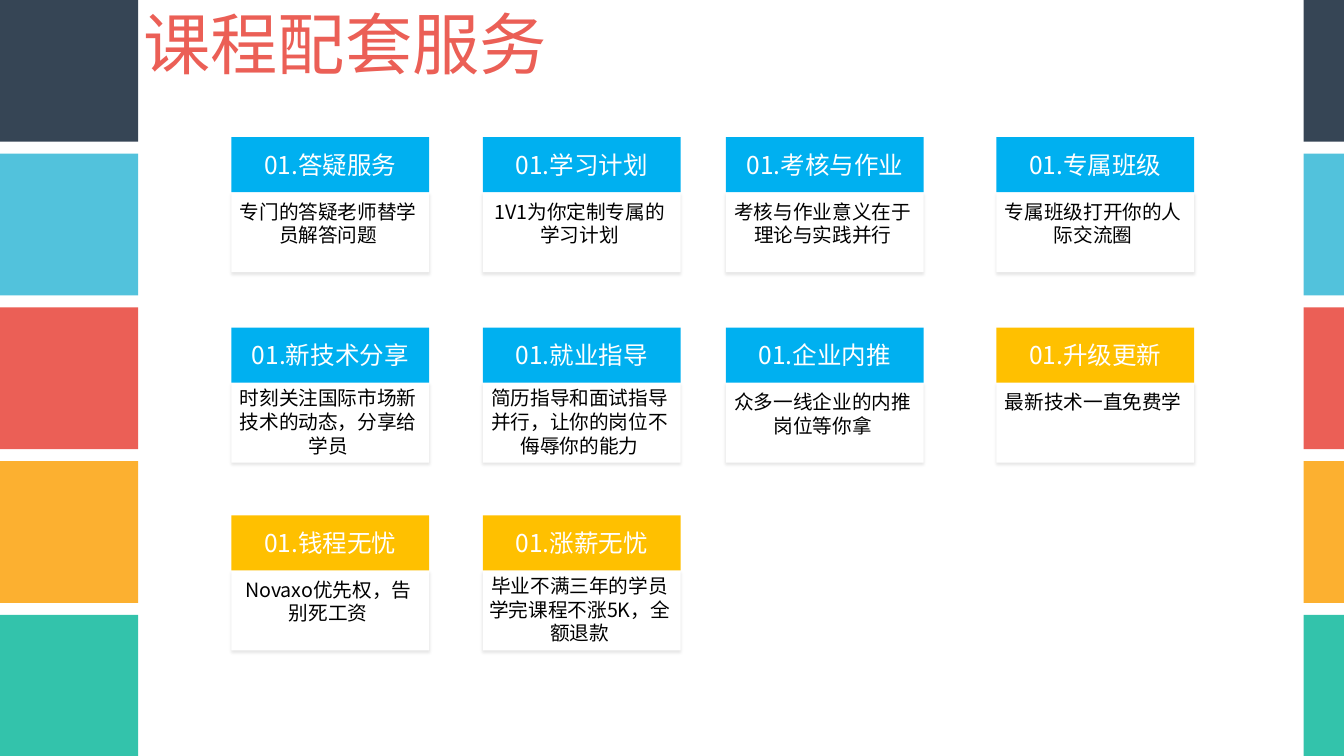
"""Build the course services slide: side colour bands, a title and ten service cards."""
from math import ceil

from lxml import etree
from pptx import Presentation
from pptx.dml.color import RGBColor
from pptx.enum import lang, shapes, text
from pptx.oxml import ns
from pptx.util import Cm, Pt

WHITE = RGBColor(0xFF, 0xFF, 0xFF)
BLACK = RGBColor(0, 0, 0)
NAVY = RGBColor(0x36, 0x45, 0x55)
SKY = RGBColor(0x52, 0xC2, 0xDC)
RED = RGBColor(0xEB, 0x5F, 0x56)
ORANGE = RGBColor(0xFC, 0xB0, 0x30)
GREEN = RGBColor(0x33, 0xC3, 0xAB)
BLUE = RGBColor(0x00, 0xB0, 0xF0)
GOLD = RGBColor(0xFF, 0xC0, 0x00)

BANDS = [NAVY, SKY, RED, ORANGE, GREEN]
BAND_PITCH, BAND_H = 7.32, 6.75
COLUMNS = [11.02, 22.99, 34.57, 47.45]
ROWS = [6.53, 15.6, 24.54]
CARD_W, HEAD_H, BODY_H = 9.42, 2.62, 3.81
NOTE_W, CHARS_PER_LINE, LINE_H = 9.22, 9, 1.13

CARDS = [
    [("01.答疑服务", "专门的答疑老师替学员解答问题", BLUE),
     ("01.学习计划", "1V1为你定制专属的学习计划", BLUE),
     ("01.考核与作业", "考核与作业意义在于理论与实践并行", BLUE),
     ("01.专属班级", "专属班级打开你的人际交流圈", BLUE)],
    [("01.新技术分享", "时刻关注国际市场新技术的动态，分享给学员", BLUE),
     ("01.就业指导", "简历指导和面试指导并行，让你的岗位不侮辱你的能力", BLUE),
     ("01.企业内推", "众多一线企业的内推岗位等你拿", BLUE),
     ("01.升级更新", "最新技术一直免费学", GOLD)],
    [("01.钱程无忧", "Novaxo优先权，告别死工资", GOLD),
     ("01.涨薪无忧", "毕业不满三年的学员学完课程不涨5K，全额退款", GOLD)],
]


def write(tf, content, size=26.5, color=BLACK, font="Noto Sans CJK SC",
          align=text.PP_ALIGN.CENTER):
    """Put one formatted paragraph into a text frame."""
    p = tf.paragraphs[0]
    p.alignment = align
    r = p.add_run()
    r.text = content
    r.font.size = Pt(size)
    r.font.color.rgb = color
    r.font.name = font
    r.font.language_id = lang.MSO_LANGUAGE_ID.SIMPLIFIED_CHINESE
    etree.SubElement(r.font._element, ns.qn("a:ea"), typeface=font)


class Deck:
    """Hold the presentation, its current slide and the drawing methods."""

    def __init__(self, width, height):
        """Create a presentation with one blank slide."""
        self.prs = Presentation()
        self.prs.slide_width, self.prs.slide_height = Cm(width), Cm(height)
        self.s = self.prs.slides.add_slide(self.prs.slide_layouts[6])

    def rect(self, x, y, w, h, fill):
        """Draw a plain filled rectangle."""
        sp = self.s.shapes.add_shape(shapes.MSO_SHAPE.RECTANGLE, Cm(x), Cm(y), Cm(w), Cm(h))
        sp.shadow.inherit = False
        sp.fill.solid()
        sp.fill.fore_color.rgb = fill
        sp.line.fill.background()
        return sp

    def label(self, x, y, w, h, content, wrap=True, **style):
        """Add a text box that grows with its text."""
        tf = self.s.shapes.add_textbox(Cm(x), Cm(y), Cm(w), Cm(h)).text_frame
        tf.word_wrap = wrap
        tf.auto_size = text.MSO_AUTO_SIZE.SHAPE_TO_FIT_TEXT
        write(tf, content, **style)

    def drop_shadow(self, sp):
        """Give a shape a faint shadow straight below it."""
        effects = sp._element.spPr.find(ns.qn("a:effectLst"))
        shadow = etree.SubElement(effects, ns.qn("a:outerShdw"), blurRad=str(Pt(4)),
                                  dist=str(Pt(3)), dir="5400000", algn="t", rotWithShape="0")
        color = etree.SubElement(shadow, ns.qn("a:srgbClr"), val=str(BLACK))
        etree.SubElement(color, ns.qn("a:alpha"), val="9000")

    def header(self, x, y, title, fill):
        """Draw the coloured title bar of a card."""
        tf = self.rect(x, y, CARD_W, HEAD_H, fill).text_frame
        tf.margin_left = tf.margin_right = Cm(0.48)
        tf.margin_top = tf.margin_bottom = Cm(0.24)
        tf.vertical_anchor = text.MSO_ANCHOR.MIDDLE
        tf.word_wrap = True
        write(tf, title, size=33.1, color=WHITE)

    def card(self, x, y, title, note, fill):
        """Draw a service card with its title bar and note."""
        body_y = y + HEAD_H
        self.drop_shadow(self.rect(x, body_y, CARD_W, BODY_H, WHITE))
        self.header(x, y, title, fill)
        lines = ceil(len(note) / CHARS_PER_LINE)
        gap = 0.23 if lines < 3 else 0.05
        self.label(x, body_y + gap, NOTE_W, 0.25 + lines * LINE_H, note)


def main():
    """Draw the slide and save it."""
    deck = Deck(64, 36)
    for x, width in [(0, 6.58), (62.08, 1.92)]:
        for i, color in enumerate(BANDS):
            deck.rect(x, i * BAND_PITCH, width, BAND_H, color)
    deck.label(6.58, 0, 19.91, 4.14, "课程配套服务", wrap=False, size=90.7, color=RED,
               align=text.PP_ALIGN.LEFT)
    for y, row in zip(ROWS, CARDS):
        for x, (title, note, fill) in zip(COLUMNS, row):
            deck.card(x, y, title, note, fill)
    deck.prs.save("out.pptx")


if __name__ == "__main__":
    main()
